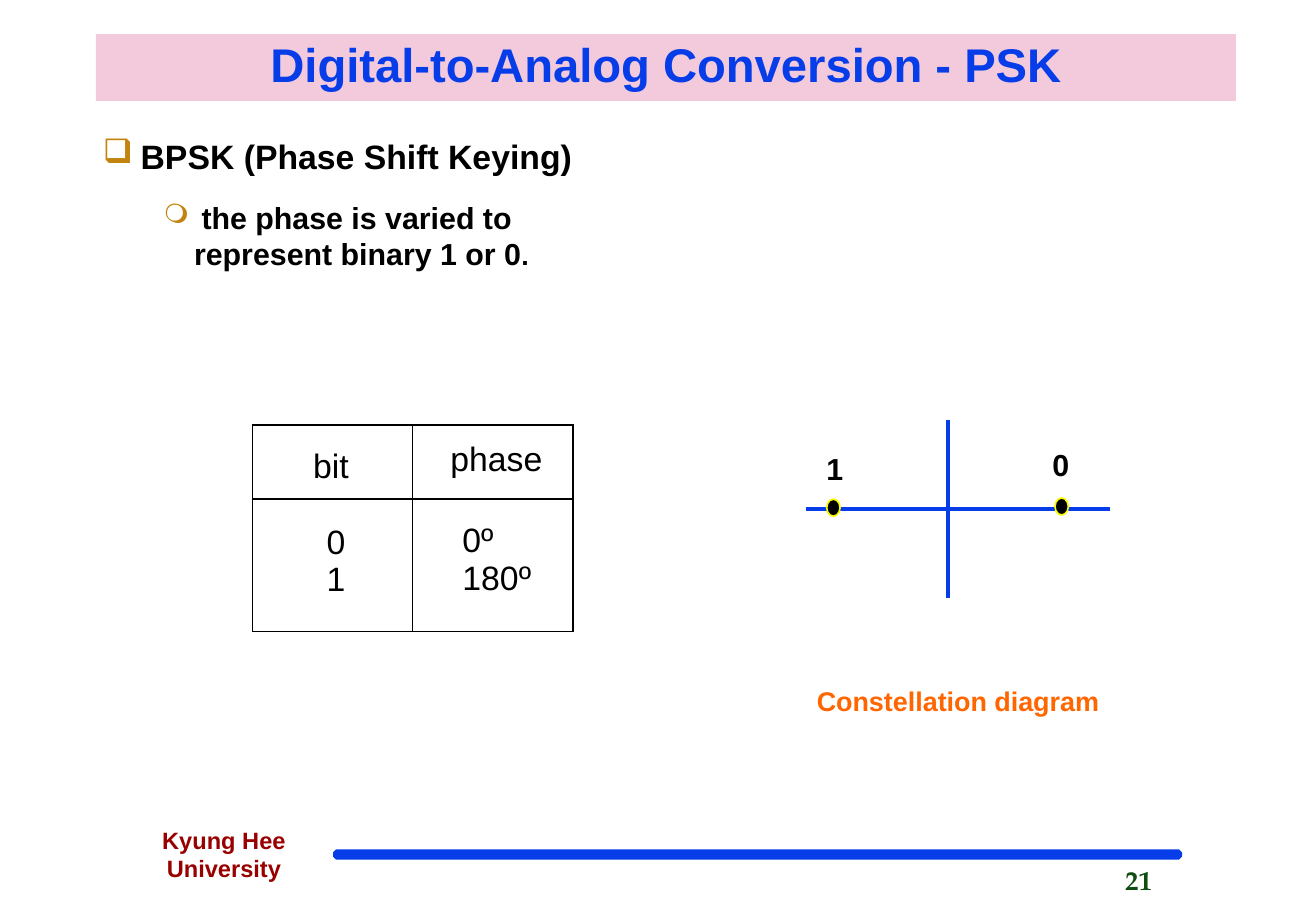
from lxml import etree
from pptx import Presentation
from pptx.dml.color import RGBColor
from pptx.enum.shapes import MSO_CONNECTOR, MSO_SHAPE
from pptx.enum.text import MSO_ANCHOR, PP_ALIGN
from pptx.oxml.ns import qn
from pptx.util import Pt

LEFT, CENTER = PP_ALIGN.LEFT, PP_ALIGN.CENTER
TOP, MIDDLE = MSO_ANCHOR.TOP, MSO_ANCHOR.MIDDLE
RECT, OCTAGON, OVAL = MSO_SHAPE.RECTANGLE, MSO_SHAPE.OCTAGON, MSO_SHAPE.OVAL
STRAIGHT = MSO_CONNECTOR.STRAIGHT

PX = 9144
SLIDE = (1084, 750)
SANS, SERIF = "Arial", "TeX Gyre Pagella"
BLUE, PINK, GOLD, BLACK = "063DE8", "F2CADC", "C2840F", "000000"
GREEN, RED, ORANGE, YELLOW = "0F4D13", "990000", "FF6600", "FAFD00"

TITLE = ("Digital-to-Analog Conversion - PSK", (79, 28, 939, 55))
FOOTER_BAR = (275, 700, 698, 7)
BODY_BOX = (75, 100, 461, 583)
BULLETS = [
    dict(runs=[("BPSK (Phase Shift Keying)", 20)], level=0, char="❑",
         margin=31, hang=31, spacing=1.2, before=0, after=7.5),
    dict(runs=[(" ", 16), ("the phase is varied to represent binary 1 or 0", 18), (".", 16)],
         level=1, char="❍", margin=75, hang=25, spacing=1.0, before=6, after=4),
]
LABELS = [
    ("21", (917, 706, 135, 40), 16, GREEN, SERIF, LEFT, False),
    ("Kyung Hee University", (75, 675, 219, 57), 14, RED, SANS, CENTER, True),
    ("Constellation diagram", (663, 559, 253, 37), 16, ORANGE, SANS, LEFT, False),
    ("0", (857, 362, 34, 40), 18, BLACK, SANS, LEFT, False),
    ("1", (671, 366, 34, 40), 18, BLACK, SANS, LEFT, False),
]
AXES = [(664, 419, 914, 419), (781, 346, 781, 492)]
POINTS = [(681, 411), (869, 410)]
POINT_SIZE = (11, 14)

TABLE_AT = (208, 350)
COLUMN_WIDTHS, ROW_HEIGHTS = (132, 132), (61, 109)
PHASES = [
    [(["bit"], 50, 19), (["phase"], 31, 13)],
    [(["0", "1"], 61, 20), (["0º", "180º"], 41, 19)],
]


def px(*values):
    return [v * PX for v in values]


def rgb(color):
    return RGBColor.from_string(color)


def add_run(p, text, size, color, font=SANS, bold=True):
    r = p.add_run()
    r.text = text
    r.font.name, r.font.size, r.font.bold = font, Pt(size), bold
    r.font.color.rgb = rgb(color)


def add_box(s, box, wrap=True, anchor=TOP):
    sp = s.shapes.add_textbox(*px(*box))
    tf = sp.text_frame
    tf.word_wrap, tf.vertical_anchor = wrap, anchor
    return sp


def add_filled(s, kind, box, fill, line):
    sp = s.shapes.add_shape(kind, *px(*box))
    sp.shadow.inherit = False
    sp.fill.solid()
    sp.fill.fore_color.rgb = rgb(fill)
    sp.line.color.rgb = rgb(line)
    sp.line.width = Pt(1)
    return sp


def set_bullet(p, item):
    pPr = p._p.get_or_add_pPr()
    pPr.set("marL", str(item["margin"] * PX))
    pPr.set("indent", str(-item["hang"] * PX))
    color = etree.SubElement(pPr, qn("a:buClr"))
    etree.SubElement(color, qn("a:srgbClr"), val=GOLD)
    etree.SubElement(pPr, qn("a:buChar"), char=item["char"])


def set_borders(cell):
    tcPr = cell._tc.get_or_add_tcPr()
    for i, side in enumerate(("lnL", "lnR", "lnT", "lnB")):
        ln = etree.Element(qn("a:" + side), w=str(Pt(1)))
        fill = etree.SubElement(ln, qn("a:solidFill"))
        etree.SubElement(fill, qn("a:srgbClr"), val=BLACK)
        tcPr.insert(i, ln)


def add_body(s):
    tf = add_box(s, BODY_BOX).text_frame
    for i, item in enumerate(BULLETS):
        p = tf.add_paragraph() if i else tf.paragraphs[0]
        p.level = item["level"]
        p.line_spacing = item["spacing"]
        p.space_before, p.space_after = Pt(item["before"]), Pt(item["after"])
        set_bullet(p, item)
        for text, size in item["runs"]:
            add_run(p, text, size, BLACK)


def add_phase_table(s):
    size = (sum(COLUMN_WIDTHS), sum(ROW_HEIGHTS))
    frame = s.shapes.add_table(len(ROW_HEIGHTS), len(COLUMN_WIDTHS), *px(*TABLE_AT, *size))
    table = frame.table
    table.first_row = table.horz_banding = False
    for column, width in zip(table.columns, COLUMN_WIDTHS):
        column.width = width * PX
    for row, height, contents in zip(table.rows, ROW_HEIGHTS, PHASES):
        row.height = height * PX
        for cell, (lines, left, top) in zip(row.cells, contents):
            cell.margin_left, cell.margin_top = px(left, top)
            cell.margin_right = cell.margin_bottom = 0
            cell.fill.background()
            set_borders(cell)
            tf = cell.text_frame
            for i, text in enumerate(lines):
                p = tf.add_paragraph() if i else tf.paragraphs[0]
                add_run(p, text, 20, BLACK, bold=False)


def add_constellation(s):
    for ends in AXES:
        axis = s.shapes.add_connector(STRAIGHT, *px(*ends))
        axis.line.color.rgb = rgb(BLUE)
        axis.line.width = Pt(2.25)
        etree.SubElement(axis._element.spPr, qn("a:effectLst"))
    for point in POINTS:
        add_filled(s, OVAL, point + POINT_SIZE, BLACK, YELLOW)


def main():
    prs = Presentation()
    prs.slide_width, prs.slide_height = px(*SLIDE)
    s = prs.slides.add_slide(prs.slide_layouts[6])

    bar = add_filled(s, OCTAGON, FOOTER_BAR, BLUE, BLUE)
    bar.adjustments[0] = 0.29

    text, box = TITLE
    sp = add_box(s, box, anchor=MIDDLE)
    sp.fill.solid()
    sp.fill.fore_color.rgb = rgb(PINK)
    p = sp.text_frame.paragraphs[0]
    p.alignment, p.line_spacing = CENTER, 0.9
    add_run(p, text, 28, BLUE)

    add_body(s)
    add_constellation(s)
    add_phase_table(s)

    for text, box, size, color, font, align, wrap in LABELS:
        p = add_box(s, box, wrap).text_frame.paragraphs[0]
        p.alignment = align
        add_run(p, text, size, color, font)

    prs.save("out.pptx")


if __name__ == "__main__":
    main()
